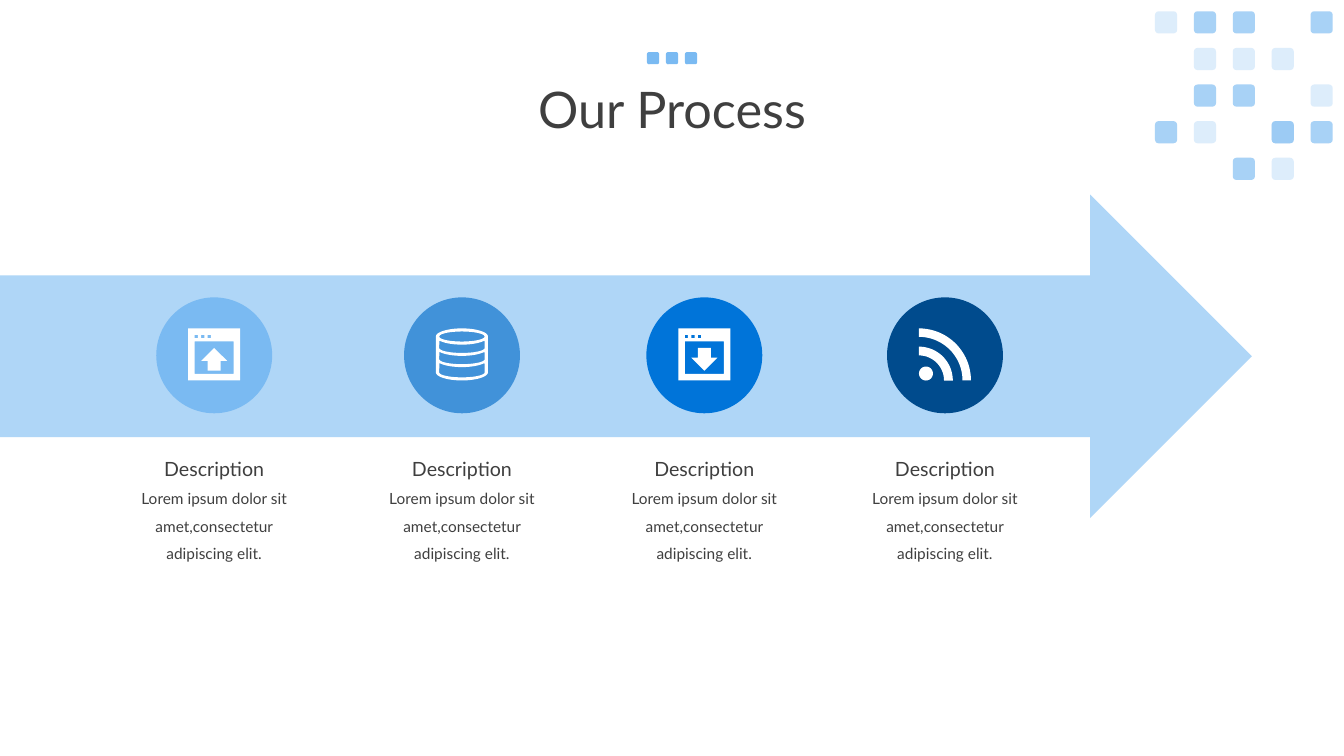
import math
from dataclasses import dataclass
from typing import Any

import pptx
import pptx.dml.color
import pptx.enum.shapes
import pptx.enum.text
import pptx.oxml.ns
import pptx.util
from lxml import etree

Point = tuple[float, float]
Contour = list[Point]
Shapes = pptx.enum.shapes.MSO_SHAPE
Anchor = pptx.enum.text.MSO_ANCHOR
AutoSize = pptx.enum.text.MSO_AUTO_SIZE

COLORS = {
    "text": "3F3F3F", "white": "FFFFFF", "arrow": "AFD6F7", "sky": "7ABAF2",
    "steel": "4192D9", "azure": "0074D9", "navy": "004B8D",
}
FONT = "Lato"
COLUMNS, ROWS = 160, 90
SLIDE_WIDTH, SLIDE_HEIGHT = pptx.util.Inches(13.333), pptx.util.Inches(7.5)
STEP_MIDDLE = 42.3
CIRCLE_SIZE = 13.8
ICON_MIDDLE, ICON_SIZE, ICON_CELLS = 42.2, 6.2, 16
MOSAIC = ("LDD.D", ".LLL.", ".DD.L", "DL.BD", "..DL.")
MOSAIC_OPACITY = {".": (), "L": (25,), "D": (65,), "B": (65, 25)}


@dataclass
class Box:
    left: float
    top: float
    width: float
    height: float

    def emu(self) -> tuple[int, int, int, int]:
        return (across(self.left), down(self.top), across(self.width), down(self.height))


@dataclass
class Step:
    center: float
    color: str
    icon: list[list[Contour]]
    heading: str = "Description"
    detail: str = "Lorem ipsum dolor sit amet,consectetur adipiscing elit."


def across(columns: float) -> int:
    return round(columns * SLIDE_WIDTH / COLUMNS)


def down(rows: float) -> int:
    return round(rows * SLIDE_HEIGHT / ROWS)


def paint(shape: Any, color: str, opacity: int = 100) -> None:
    shape.shadow.inherit = False
    shape.line.fill.background()
    shape.fill.solid()
    shape.fill.fore_color.rgb = pptx.dml.color.RGBColor.from_string(COLORS[color])
    if opacity < 100:
        tone = shape.fill._xPr.find(".//" + pptx.oxml.ns.qn("a:srgbClr"))
        etree.SubElement(tone, pptx.oxml.ns.qn("a:alpha"), val=str(opacity * 1000))


def add_preset(slide: Any, preset: Any, box: Box, color: str, opacity: int = 100) -> None:
    paint(slide.shapes.add_shape(preset, *box.emu()), color, opacity)


def write(holder: Any, text: str, *, size: float, spacing: float = 1.0, wrap: bool = True,
          anchor: Any = Anchor.TOP, fit: Any = AutoSize.SHAPE_TO_FIT_TEXT) -> None:
    frame = holder.text_frame
    frame.text = text
    frame.word_wrap = wrap
    frame.auto_size = fit
    frame.vertical_anchor = anchor
    paragraph = frame.paragraphs[0]
    paragraph.alignment = pptx.enum.text.PP_ALIGN.CENTER
    paragraph.line_spacing = spacing
    font = paragraph.runs[0].font
    font.name = FONT
    font.size = pptx.util.Pt(size)
    font.color.rgb = pptx.dml.color.RGBColor.from_string(COLORS["text"])


def arc(center: Point, radii: Point, start: float, end: float, pieces: int = 24) -> Contour:
    angles = [math.radians(start + (end - start) * i / pieces) for i in range(pieces + 1)]
    return [(center[0] + radii[0] * math.cos(a), center[1] + radii[1] * math.sin(a))
            for a in angles]


def rectangle(left: float, top: float, right: float, bottom: float) -> Contour:
    return [(left, top), (right, top), (right, bottom), (left, bottom)]


def window_icon(upward: bool) -> list[list[Contour]]:
    buttons = [rectangle(left, 2, left + 1, 3) for left in (2, 4, 6)]
    window = [rectangle(0, 0, 16, 16), *buttons, rectangle(2, 4, 14, 14)]
    pointer = [(6, 13), (10, 13), (10, 10), (12, 10), (8, 6), (4, 10), (6, 10)]
    return [window, [[(x, y if upward else 19 - y) for x, y in pointer]]]


def database_icon() -> list[list[Contour]]:
    outline = arc((8, 2.5), (8, 2.5), 180, 360) + arc((8, 13.5), (8, 2.5), 0, 180)
    lid = arc((8, 2.5), (7, 1.55), 0, 360)
    bands = [arc((8, upper), (8, 2.5), 150, 30) + arc((8, lower), (7, 1.55), 0, 180)
             for upper, lower in ((2.5, 6), (5.95, 9.45), (9.4, 13.5))]
    return [[outline, lid, *bands]]


def feed_icon() -> list[list[Contour]]:
    corner = (0, 16)
    waves = [[arc(corner, (outer, outer), -90, 0) + arc(corner, (inner, inner), 0, -90)]
             for outer, inner in ((10.4, 7.7), (16, 13.4))]
    return [[arc((2.15, 13.85), (2.15, 2.15), 0, 360)], *waves]


def add_outline(slide: Any, contours: list[Contour], center: float) -> None:
    cell = ICON_SIZE / ICON_CELLS
    left, top = center - ICON_SIZE / 2, ICON_MIDDLE - ICON_SIZE / 2
    placed = [[(across(left + x * cell), down(top + y * cell)) for x, y in contour]
              for contour in contours]
    builder = slide.shapes.build_freeform(*placed[0][0])
    for index, contour in enumerate(placed):
        if index:
            builder.move_to(*contour[0])
        builder.add_line_segments(contour[1:], close=True)
    paint(builder.convert_to_shape(), "white")


def add_step(slide: Any, step: Step) -> None:
    half = CIRCLE_SIZE / 2
    circle = Box(step.center - half, STEP_MIDDLE - half, CIRCLE_SIZE, CIRCLE_SIZE)
    add_preset(slide, Shapes.OVAL, circle, step.color)
    for contours in step.icon:
        add_outline(slide, contours, step.center)
    heading = slide.shapes.add_textbox(*Box(step.center - 7.5, 53.76, 15, 4.08).emu())
    write(heading, step.heading, size=14, wrap=False)
    detail = slide.shapes.add_textbox(*Box(step.center - 11.88, 56.52, 23.76, 10.8).emu())
    write(detail, step.detail, size=11, spacing=1.5)


def add_mosaic(slide: Any) -> None:
    for row, pattern in enumerate(MOSAIC):
        for column, tone in enumerate(pattern):
            tile = Box(137.5 + 4.63 * column, 1.34 + 4.36 * row, 2.64, 2.64)
            for opacity in MOSAIC_OPACITY[tone]:
                add_preset(slide, Shapes.ROUNDED_RECTANGLE, tile, "sky", opacity)


def main() -> None:
    deck = pptx.Presentation()
    deck.slide_width, deck.slide_height = SLIDE_WIDTH, SLIDE_HEIGHT
    slide = deck.slides.add_slide(deck.slide_layouts[5])
    title = slide.shapes.title
    title.left, title.top, title.width, title.height = Box(11, 4.7, 138, 17.4).emu()
    write(title, "Our Process", size=36, spacing=0.9, anchor=Anchor.MIDDLE, fit=AutoSize.NONE)
    add_mosaic(slide)
    for index in range(3):
        accent = Box(77.02 + 2.26 * index, 6.2, 1.45, 1.45)
        add_preset(slide, Shapes.ROUNDED_RECTANGLE, accent, "sky")
    add_preset(slide, Shapes.NOTCHED_RIGHT_ARROW, Box(-9.72, 23.16, 158.76, 38.52), "arrow")
    steps = [
        Step(25.5, "sky", window_icon(upward=True)),
        Step(55, "steel", database_icon()),
        Step(83.85, "azure", window_icon(upward=False)),
        Step(112.5, "navy", feed_icon()),
    ]
    for step in steps:
        add_step(slide, step)
    deck.save("out.pptx")


if __name__ == "__main__":
    main()
